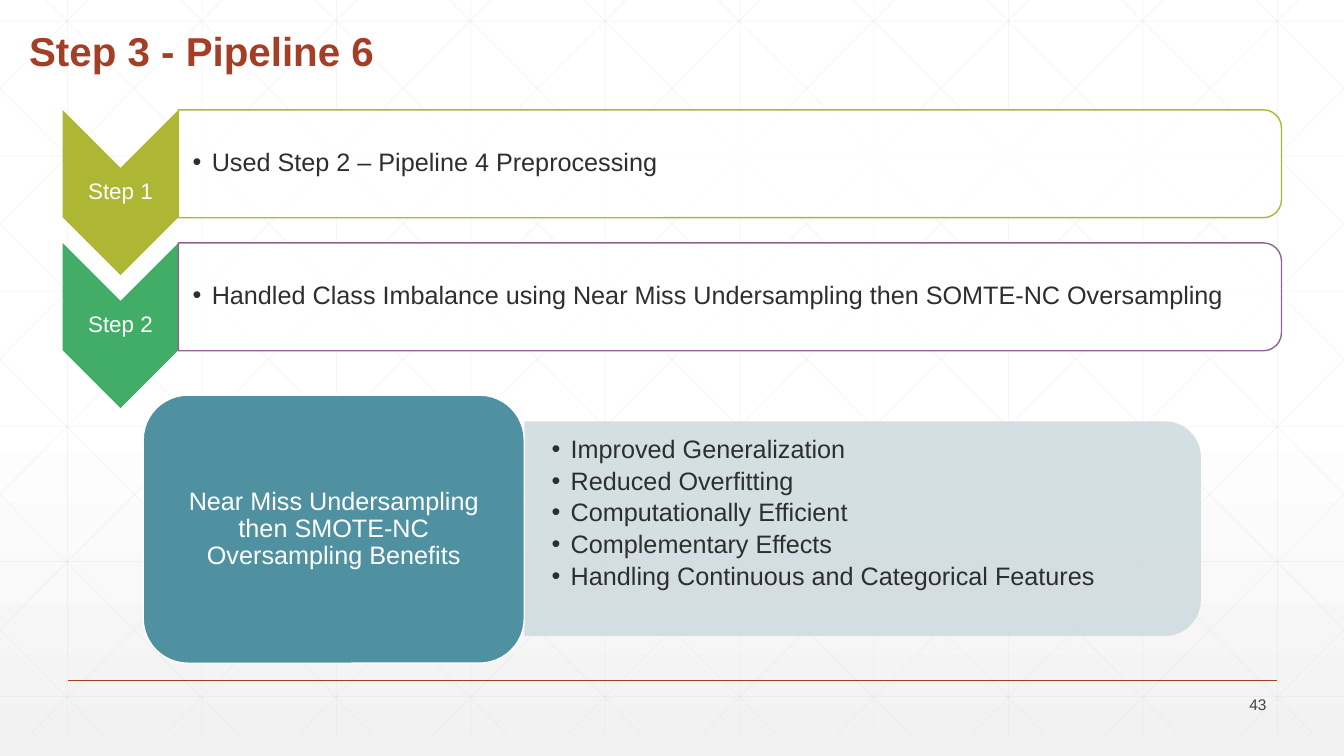
"""Build the Step 3 - Pipeline 6 slide."""
from lxml.etree import SubElement
from pptx import Presentation
from pptx.dml.color import RGBColor
from pptx.enum.shapes import MSO_CONNECTOR, MSO_SHAPE
from pptx.enum.text import MSO_ANCHOR, PP_ALIGN
from pptx.oxml.ns import qn
from pptx.util import Inches, Pt

RUST = RGBColor(0xA4, 0x3F, 0x27)
OLIVE = RGBColor(0xAE, 0xB7, 0x33)
GREEN = RGBColor(0x42, 0xAD, 0x67)
PURPLE = RGBColor(0x92, 0x63, 0x97)
TEAL = RGBColor(0x4F, 0x91, 0xA1)
MIST = RGBColor(0xD0, 0xDC, 0xE0)
GRID = RGBColor(0xD9, 0xD9, 0xD9)
INK = RGBColor(0x2D, 0x2E, 0x2D)
GREY = RGBColor(0x42, 0x43, 0x42)
WHITE = RGBColor(0xFF, 0xFF, 0xFF)

TITLE = "Step 3 - Pipeline 6"
PAGE = "43"
STEPS = [
    ("Step 1", "Used Step 2 – Pipeline 4 Preprocessing", OLIVE, OLIVE),
    ("Step 2", "Handled Class Imbalance using Near Miss Undersampling then SOMTE-NC Oversampling",
     GREEN, PURPLE),
]
BENEFITS_HEADING = "Near Miss Undersampling then SMOTE-NC Oversampling Benefits"
BENEFITS = [
    "Improved Generalization",
    "Reduced Overfitting",
    "Computationally Efficient",
    "Complementary Effects",
    "Handling Continuous and Categorical Features",
]
BACKGROUND_STOPS = [(0, "FFFFFF", 100), (53, "FFFFFF", 100), (100, "F2F2F2", 65)]

WIDTH, HEIGHT = 13.33, 7.5
GRID_TOP, GRID_BOTTOM = -0.21, 7.29
GRID_STEP_X, GRID_STEP_Y = 4 / 3, 1.34
DIAGONAL_START, DIAGONAL_RUN = 0.25, 7.45
STEP_TOP, STEP_PITCH = 1.09, 1.32

deck = Presentation()
deck.slide_width, deck.slide_height = Inches(WIDTH), Inches(HEIGHT)
slide = deck.slides.add_slide(deck.slide_layouts[6])


def set_opacity(color_parent, percent):
    for color in color_parent.iter(qn("a:srgbClr")):
        SubElement(color, qn("a:alpha")).set("val", str(percent * 1000))


def paint_background():
    fill = slide.background.fill
    fill.gradient()
    fill.gradient_angle = 270
    stops = slide.element.find(".//" + qn("a:gsLst"))
    for stop in list(stops):
        stops.remove(stop)
    for position, color, opacity in BACKGROUND_STOPS:
        stop = SubElement(stops, qn("a:gs"), pos=str(position * 1000))
        SubElement(stop, qn("a:srgbClr"), val=color)
        set_opacity(stop, opacity)


def add_line(x1, y1, x2, y2, color, width, opacity=100):
    line = slide.shapes.add_connector(
        MSO_CONNECTOR.STRAIGHT, Inches(x1), Inches(y1), Inches(x2), Inches(y2))
    line.line.color.rgb = color
    line.line.width = Pt(width)
    properties = line.element.spPr
    if opacity < 100:
        set_opacity(properties, opacity)
    SubElement(properties, qn("a:effectLst"))


def add_grid():
    ends = [(x, GRID_TOP, x, GRID_BOTTOM) for x in (0.67 + i * GRID_STEP_X for i in range(10))]
    ends += [(0, y, WIDTH, y) for y in (0.21 + i * GRID_STEP_Y for i in range(6))]
    slope = (GRID_BOTTOM - GRID_TOP) / DIAGONAL_RUN
    for i in range(-5, 10):
        start = DIAGONAL_START + i * GRID_STEP_X
        left, right = max(start, 0), min(start + DIAGONAL_RUN, WIDTH)
        y1, y2 = (GRID_TOP + (x - start) * slope for x in (left, right))
        ends += [(left, y1, right, y2), (WIDTH - left, y1, WIDTH - right, y2)]
    for end in ends:
        add_line(*end, GRID, 0.5, 25)


def add_block(kind, left, top, width, height, fill, outline=None, turned=False, opacity=100):
    if turned:
        left, top = left + (width - height) / 2, top + (height - width) / 2
        width, height = height, width
    block = slide.shapes.add_shape(kind, Inches(left), Inches(top), Inches(width), Inches(height))
    block.shadow.inherit = False
    block.rotation = 90 if turned else 0
    block.fill.solid()
    block.fill.fore_color.rgb = fill
    if opacity < 100:
        set_opacity(block.element.spPr, opacity)
    if outline is None:
        block.line.fill.background()
    else:
        block.line.color.rgb = outline
        block.line.width = Pt(1)
    return block


def write(holder, lines, size, color, align=PP_ALIGN.LEFT, anchor=MSO_ANCHOR.MIDDLE,
          insets=(0.1, 0.05), bold=False, bulleted=False):
    frame = holder.text_frame
    frame.word_wrap = True
    frame.vertical_anchor = anchor
    frame.margin_left = frame.margin_right = Inches(insets[0])
    frame.margin_top = frame.margin_bottom = Inches(insets[1])
    for i, words in enumerate(lines):
        paragraph = frame.add_paragraph() if i else frame.paragraphs[0]
        paragraph.alignment = align
        paragraph.line_spacing = 0.9
        if bulleted:
            paragraph.space_after = Pt(3.3)
            indents = paragraph._p.get_or_add_pPr()
            indents.set("marL", str(Inches(0.19)))
            indents.set("indent", str(-Inches(0.19)))
            SubElement(indents, qn("a:buFont"), typeface="Arial")
            SubElement(indents, qn("a:buChar"), char="•")
        run = paragraph.add_run()
        run.text = words
        run.font.name, run.font.size, run.font.bold = "Arial", Pt(size), bold
        run.font.color.rgb = color


def add_text(left, top, width, height, lines, size, color, **style):
    box = slide.shapes.add_textbox(Inches(left), Inches(top), Inches(width), Inches(height))
    write(box, lines, size, color, **style)


def add_steps():
    for i, (label, detail, accent, outline) in enumerate(STEPS):
        top = STEP_TOP + i * STEP_PITCH
        add_block(MSO_SHAPE.CHEVRON, 0.62, top, 1.15, 1.64, accent, turned=True)
        add_text(0.62, top + 0.57, 1.15, 0.49, [label], 16, WHITE,
                 align=PP_ALIGN.CENTER, insets=(0.05, 0.03))
        add_block(MSO_SHAPE.ROUND_2_SAME_RECTANGLE, 1.77, top, 10.94, 1.07, WHITE, outline,
                  turned=True, opacity=90)
        add_text(1.77, top + 0.05, 10.89, 0.96, [detail], 18, INK,
                 insets=(0.14, 0.01), bulleted=True)


def add_benefits():
    add_block(MSO_SHAPE.ROUND_2_SAME_RECTANGLE, 5.2, 4.18, 6.71, 2.13, MIST,
              turned=True, opacity=90)
    add_text(5.2, 4.33, 6.61, 1.88, BENEFITS, 18, INK, anchor=MSO_ANCHOR.TOP,
             insets=(0.27, 0), bulleted=True)
    heading = add_block(MSO_SHAPE.ROUNDED_RECTANGLE, 1.42, 3.92, 3.78, 2.66, TEAL, WHITE)
    write(heading, [BENEFITS_HEADING], 18, WHITE, align=PP_ALIGN.CENTER, insets=(0.07, 0.04))


paint_background()
add_grid()
add_line(0.67, 6.75, 12.67, 6.75, RUST, 1)
add_text(0.19, 0.19, 10.5, 0.61, [TITLE], 28.8, RUST, anchor=MSO_ANCHOR.BOTTOM, bold=True)
add_steps()
add_text(11.66, 6.88, 1, 0.24, [PAGE], 11, GREY, align=PP_ALIGN.RIGHT)
add_benefits()
deck.save("out.pptx")
